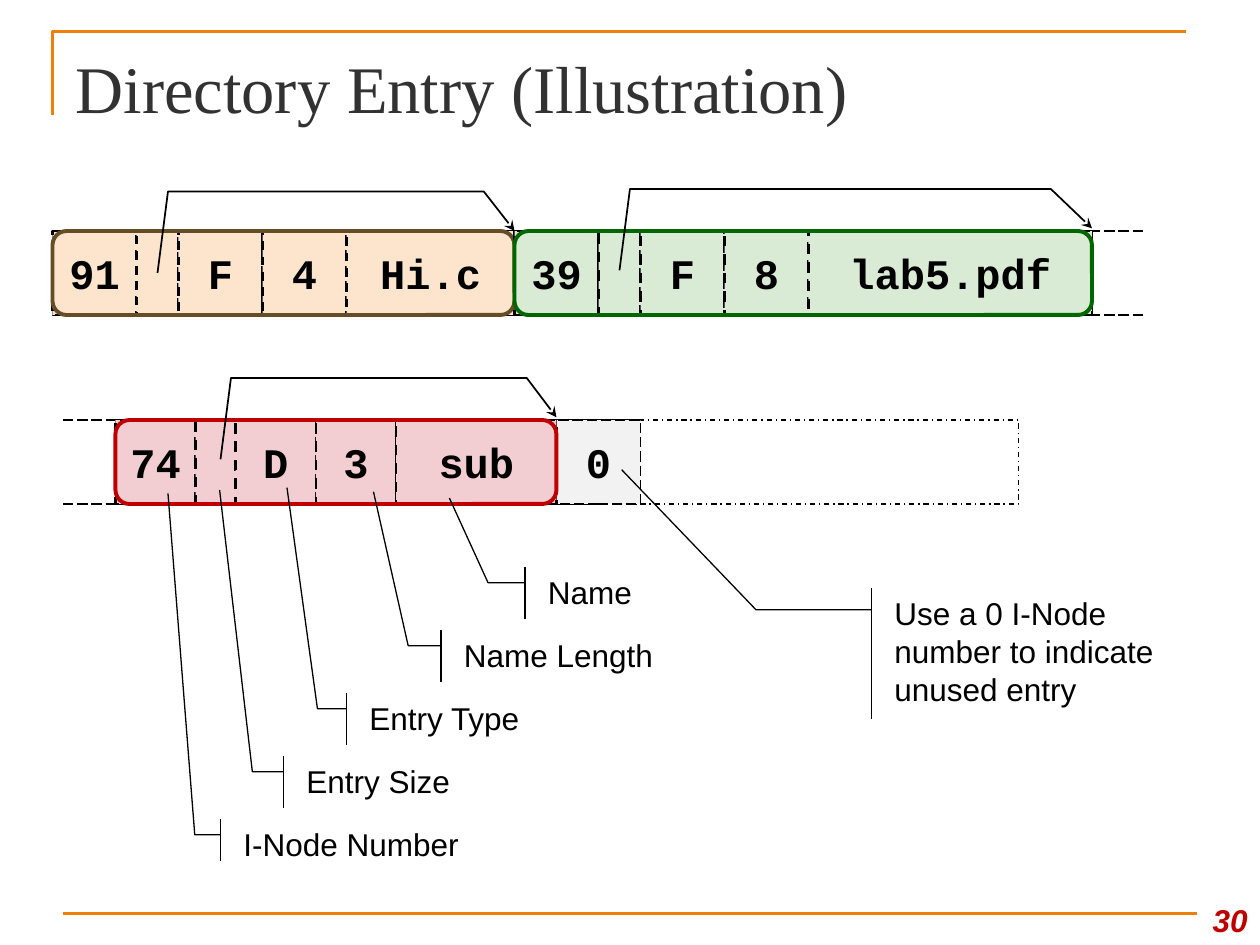
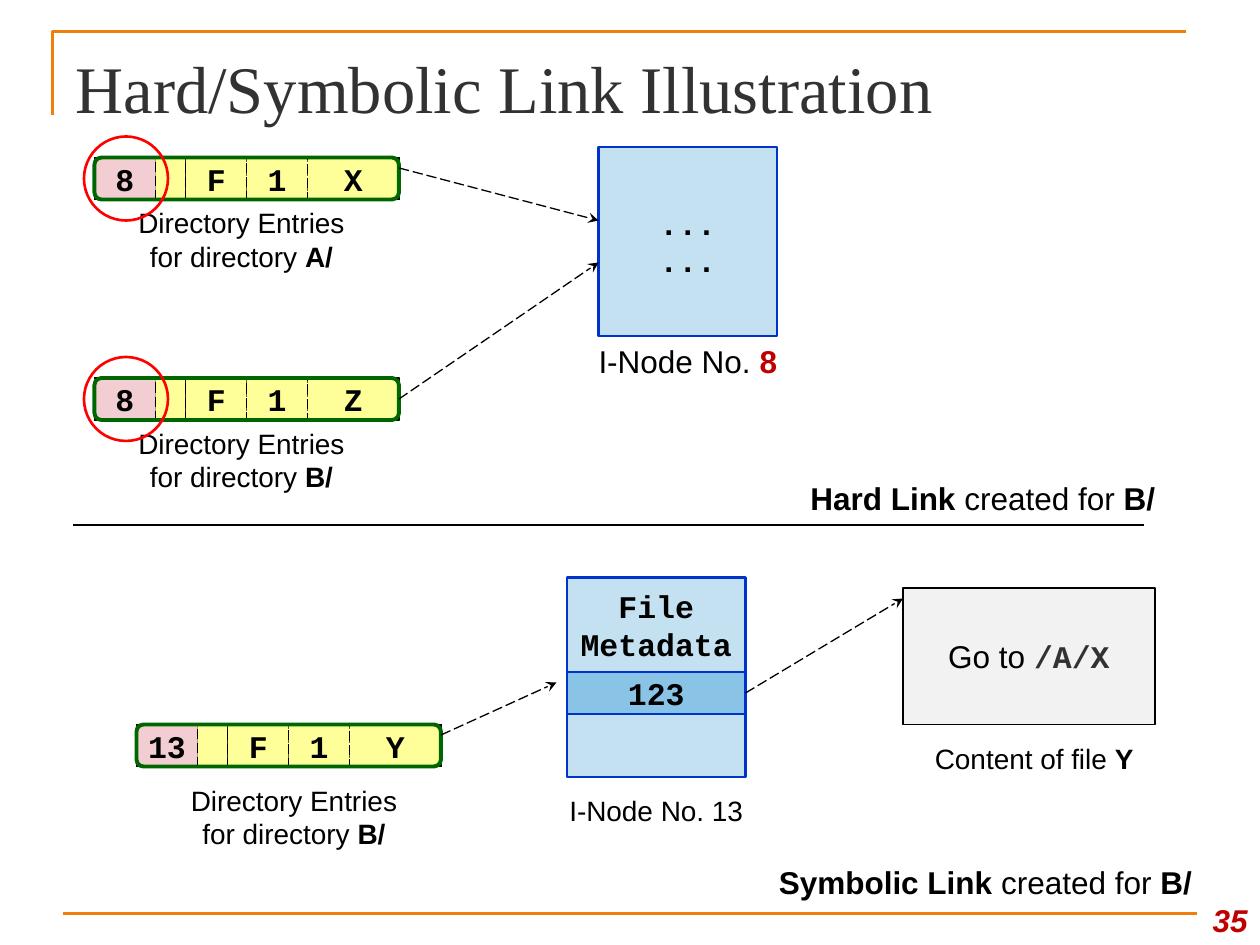
from dataclasses import dataclass

from lxml.etree import SubElement
from pptx import Presentation
from pptx.dml.color import RGBColor
from pptx.enum.dml import MSO_LINE_DASH_STYLE as Dash
from pptx.enum.shapes import MSO_CONNECTOR as Connector, MSO_SHAPE as Shape
from pptx.enum.text import MSO_ANCHOR as Anchor, MSO_AUTO_SIZE as AutoSize, PP_ALIGN as Align
from pptx.oxml.ns import qn
from pptx.util import Pt


@dataclass(frozen=True)
class Theme:
    black: str = "000000"
    title: str = "323232"
    accent: str = "F07F09"
    red: str = "C00000"
    ring: str = "FF0000"
    green: str = "006600"
    brown: str = "674D26"
    blue: str = "0033CC"
    peach: str = "FDE5CD"
    mint: str = "D9EAD5"
    rose: str = "F2CED2"
    yellow: str = "FFFF99"
    sky: str = "C4E1F2"
    deep_sky: str = "89C3E5"
    gray: str = "F2F2F2"
    serif: str = "Times New Roman"
    sans: str = "Arial"
    mono: str = "Courier New"
    title_size: float = 38
    large: float = 24
    body: float = 18
    caption: float = 16
    thin: float = 0.75
    rule: float = 1.5
    heavy: float = 2.25


THEME = Theme()
BOLD = {"bold": True}
CODE = {"font": THEME.mono, "bold": True}
ROW_WIDTH = 174
ROW_HEIGHT = 24
ENTRY_SHARES = (2, 1, 2, 2)


def points(*values):
    return [Pt(round(value, 2)) for value in values]


def add_text(para, text, size=THEME.body, font=THEME.sans, color=THEME.black,
             bold=False, italic=False):
    span = para.add_run()
    span.text = text
    span.font.size = Pt(size)
    span.font.name = font
    span.font.color.rgb = RGBColor.from_string(color)
    span.font.bold = bold
    span.font.italic = italic


def write(box, *lines, align=Align.CENTER, anchor=Anchor.MIDDLE, wrap=True, **style):
    frame = box.text_frame
    frame.word_wrap = wrap
    frame.auto_size = AutoSize.NONE
    frame.vertical_anchor = anchor
    for index, line in enumerate(lines):
        para = frame.add_paragraph() if index else frame.paragraphs[0]
        para.alignment = align
        for text, changes in [(line, {})] if isinstance(line, str) else line:
            add_text(para, text, **{**style, **changes})


def style_line(item, color=THEME.black, width=THEME.thin, dash=None, arrow=False):
    item.line.color.rgb = RGBColor.from_string(color)
    item.line.width = Pt(width)
    if dash:
        item.line.dash_style = dash
    if arrow:
        SubElement(item.element.spPr.find(qn("a:ln")), qn("a:tailEnd"), type="stealth")


def add_box(shapes, bounds, fill=None, kind=Shape.RECTANGLE, **line):
    box = shapes.add_shape(kind, *points(*bounds))
    box.shadow.inherit = False
    if fill:
        box.fill.solid()
        box.fill.fore_color.rgb = RGBColor.from_string(fill)
    else:
        box.fill.background()
    style_line(box, **line)
    return box


def add_label(page, bounds, *lines, align=Align.CENTER, anchor=Anchor.TOP, **style):
    box = page.shapes.add_textbox(*points(*bounds))
    write(box, *lines, align=align, anchor=anchor, **style)


def add_line(page, start, end, **line):
    connector = page.shapes.add_connector(Connector.STRAIGHT, *points(*start, *end))
    style_line(connector, **line)
    SubElement(connector.element.spPr, qn("a:effectLst"))
    return connector


def add_path(page, vertices, **line):
    start, *rest = [points(*vertex) for vertex in vertices]
    builder = page.shapes.build_freeform(*start)
    builder.add_line_segments(rest, close=False)
    outline = builder.convert_to_shape()
    outline.shadow.inherit = False
    outline.fill.background()
    style_line(outline, **line)


def add_dashed_arrow(page, start, end):
    return add_line(page, start, end, dash=Dash.LONG_DASH, arrow=True)


def add_entry(page, bounds, fields, fill, border, name_share, first_fill=None,
              size=THEME.large, width=THEME.rule, dash=Dash.DASH):
    left, top, total, height = bounds
    shares = (*ENTRY_SHARES, name_share)
    unit = total / sum(shares)
    group = page.shapes.add_group_shape()
    base = add_box(group.shapes, bounds, fill)
    for index, (field, share) in enumerate(zip(fields, shares)):
        cell_fill = first_fill if first_fill and index == 0 else fill
        cell = add_box(group.shapes, (left, top, share * unit, height), cell_fill,
                       width=width, dash=dash)
        if field:
            write(cell, field, wrap=False, size=size, **CODE)
        left += share * unit
    add_box(page.shapes, bounds, kind=Shape.ROUNDED_RECTANGLE,
            color=border, width=THEME.heavy)
    return base


def add_small_entry(page, left, top, inode, name):
    return add_entry(page, (left, top, ROW_WIDTH, ROW_HEIGHT), (inode, "", "F", "1", name),
                     THEME.yellow, THEME.green, 3, first_fill=THEME.rose,
                     size=THEME.body, width=THEME.thin, dash=Dash.LONG_DASH)


def add_directory_caption(page, left, top, directory):
    add_label(page, (left, top, 144, 46),
              [("Directory Entries for directory ", {}), (directory, BOLD)],
              size=THEME.caption)


def add_size_arrow(page, start, lift, bend, end):
    top = start[1] - lift
    add_path(page, [start, (start[0] + 6, top), (bend, top), end], width=1, arrow=True)


def add_callout(page, text, bounds, elbow, target, drop=9):
    left, top, width, height = bounds
    box = add_box(page.shapes, bounds, kind=Shape.LINE_CALLOUT_2_ACCENT_BAR)
    vertices = [(left - 6, top + drop), (left - elbow, top + drop), target]
    ratios = [ratio for x, y in vertices
              for ratio in ((y - top) / height, (x - left) / width)]
    for index, ratio in enumerate(ratios):
        box.adjustments[index] = ratio
    write(box, text, align=Align.LEFT, anchor=Anchor.TOP)


def add_page(deck, title, number):
    page = deck.slides.add_slide(deck.slide_layouts[5])
    add_path(page, [(30, 66), (30, 18), (678, 18)], color=THEME.accent, width=THEME.rule)
    add_line(page, (36, 522), (684, 522), color=THEME.accent, width=THEME.rule)
    heading = page.shapes.title
    heading.left, heading.top, heading.width, heading.height = points(36, 21.6, 648, 56)
    write(heading, title, align=Align.LEFT, size=THEME.title_size,
          font=THEME.serif, color=THEME.title)
    add_label(page, (678, 504, 42, 36), number, align=Align.RIGHT, anchor=Anchor.BOTTOM,
              color=THEME.red, bold=True, italic=True)
    return page


def build_directory_entry(deck):
    page = add_page(deck, "Directory Entry (Illustration)", "30")
    for left, right, top in ((558, 654, 132), (36, 78, 240)):
        for y in (top, top + 48):
            add_line(page, (left, y), (right, y), dash=Dash.LONG_DASH)
    add_box(page.shapes, (318, 240, 264, 48), dash=Dash.DASH_DOT)
    unused = add_box(page.shapes, (318, 240, 48, 48), THEME.gray, dash=Dash.LONG_DASH)
    write(unused, "0", wrap=False, size=THEME.large, **CODE)

    add_entry(page, (30, 132, 264, 48), ("91", "", "F", "4", "Hi.c"),
              THEME.peach, THEME.brown, 4, width=1.25)
    add_entry(page, (294, 132, 330, 48), ("39", "", "F", "8", "lab5.pdf"),
              THEME.mint, THEME.green, 6.75)
    add_entry(page, (66, 240, 252, 48), ("74", "", "D", "3", "sub"),
              THEME.rose, THEME.red, 4)

    add_size_arrow(page, (90, 156), 46.5, 276.5, (294, 132))
    add_size_arrow(page, (354, 154.5), 46.5, 600.5, (624, 130.5))
    add_size_arrow(page, (126, 262.5), 46.5, 301, (318, 238.5))

    field_callouts = (
        ("I-Node Number", 132, 144, 24, 20.7, (96, 282)),
        ("Entry Size", 168, 114, 30, 23.8, (125.5, 280)),
        ("Entry Type", 204, 114, 30, 22.6, (164, 278.6)),
        ("Name Length", 258, 132, 30, 24.8, (213.4, 281)),
        ("Name", 306, 72, 30, 27.1, (256.8, 284.6)),
    )
    for index, (text, left, width, height, elbow, target) in enumerate(field_callouts):
        add_callout(page, text, (left, 468 - 36 * index, width, height), elbow, target)
    add_callout(page, "Use a 0 I-Node number to indicate unused entry",
                (504, 336, 168, 75), 72, (355.2, 268.4), drop=12.5)


def build_links(deck):
    page = add_page(deck, "Hard/Symbolic Link Illustration", "35")
    entries = []
    for top, name, directory in ((90, "X", "A/"), (216, "Z", "B/")):
        add_directory_caption(page, 66, top + ROW_HEIGHT, directory)
        entries.append(add_small_entry(page, 54, top, "8", name))
        add_box(page.shapes, (48, top - 12, 48, 48), kind=Shape.OVAL,
                color=THEME.ring, width=THEME.rule)
    inode = add_box(page.shapes, (342, 84, 102, 108), THEME.sky,
                    color=THEME.blue, width=THEME.rule)
    write(inode, "...", "...", **CODE)
    add_label(page, (330, 192, 126, 29),
              [("I-Node No. ", {}), ("8", {"color": THEME.red, "bold": True})])
    add_dashed_arrow(page, (228, 96), (342, 126))
    add_dashed_arrow(page, (228, 228), (342, 150)).begin_connect(entries[1], 3)

    add_line(page, (42, 300), (654, 300))
    for kind, left, top, width in (("Hard Link ", 456, 270, 222),
                                   ("Symbolic Link ", 438, 489.6, 258)):
        add_label(page, (left, top, width, 29),
                  [(kind, BOLD), ("created for ", {}), ("B/", BOLD)], align=Align.LEFT)

    add_small_entry(page, 78, 414, "13", "Y")
    add_directory_caption(page, 96, 444, "B/")
    group = page.shapes.add_group_shape()
    blocks = []
    top = 330
    for text, height, fill in (("File Metadata", 54, THEME.sky),
                               ("123", 24, THEME.deep_sky), ("", 36, THEME.sky)):
        block = add_box(group.shapes, (324, top, 102, height), fill,
                        color=THEME.blue, width=THEME.rule)
        if text:
            write(block, text, **CODE)
        blocks.append(block)
        top += height
    add_label(page, (306, 450, 138, 27), "I-Node No. 13", size=THEME.caption)

    content = add_box(page.shapes, (516, 336, 144, 78), THEME.gray)
    write(content, [("Go to ", {}), ("/A/X", {**CODE, "color": THEME.title})], wrap=False)
    add_label(page, (522, 420, 138, 27), [("Content of file ", {}), ("Y", BOLD)],
              size=THEME.caption)
    add_dashed_arrow(page, (252, 420), (318, 390))
    add_dashed_arrow(page, (426, 396), (516, 342)).begin_connect(blocks[1], 3)


def main():
    deck = Presentation()
    deck.slide_width, deck.slide_height = points(720, 540)
    build_directory_entry(deck)
    build_links(deck)
    deck.save("out.pptx")


if __name__ == "__main__":
    main()
